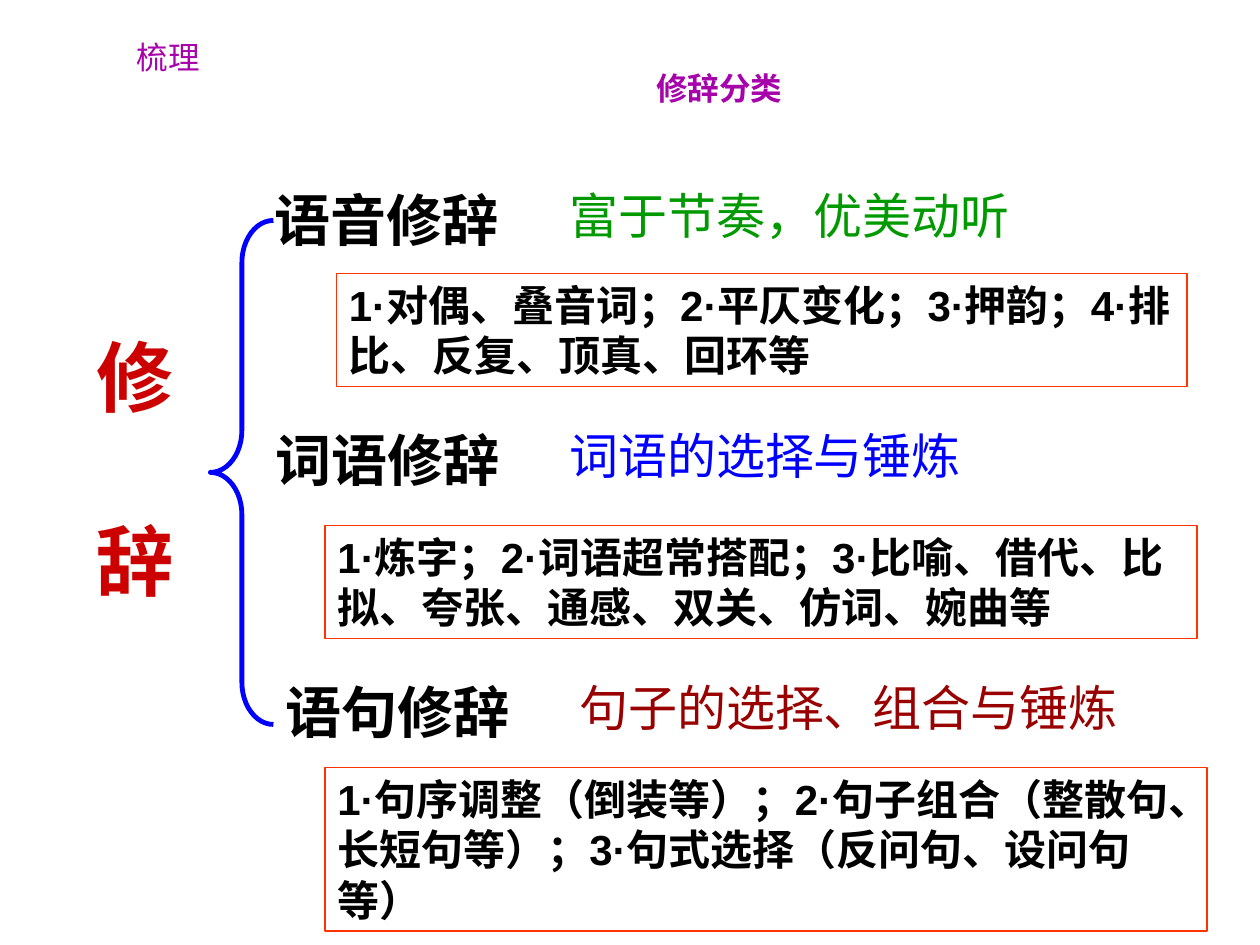
from dataclasses import dataclass

from pptx import Presentation
from pptx.dml.color import RGBColor
from pptx.enum.shapes import MSO_SHAPE
from pptx.enum.text import MSO_ANCHOR, PP_ALIGN
from pptx.util import Emu, Pt

SCALE = 9144  # EMU per px, 100 px to the inch


@dataclass(frozen=True)
class Theme:
    latin: str = "Arial"
    hans: str = "Noto Sans CJK SC"
    ink: str = "000000"
    red: str = "CC0000"
    blue: str = "0000FF"
    green: str = "009900"
    brown: str = "990000"
    plum: str = "A603AB"
    frame: str = "FF3300"
    root: int = 44
    head: int = 32
    note: int = 28
    body: int = 24
    title: int = 18


@dataclass(frozen=True)
class Box:
    left: int
    top: int
    width: int
    height: int

    def emu(self) -> list[Emu]:
        return [Emu(n * SCALE) for n in (self.left, self.top, self.width, self.height)]


@dataclass(frozen=True)
class Style:
    size: int
    color: str
    bold: bool = False
    face: str = Theme.latin
    align: PP_ALIGN = PP_ALIGN.LEFT
    gap: int = 0


@dataclass(frozen=True)
class Label:
    text: str
    box: Box
    style: Style
    wrap: bool = False


@dataclass(frozen=True)
class Panel:
    text: str
    box: Box


T = Theme()
ROOT = Style(T.root, T.red, True, gap=52)
HEAD = Style(T.head, T.ink, True)
BODY = Style(T.body, T.ink, True)
TITLE = Style(T.title, T.plum, True, T.hans, PP_ALIGN.CENTER)
TOPIC = Style(T.title, T.plum, False, T.hans, PP_ALIGN.CENTER)

LABELS = [
    Label("梳理", Box(25, 25, 217, 100), TOPIC),
    Label("修辞分类", Box(375, 50, 392, 50), TITLE),
    Label("修\n辞", Box(67, 257, 92, 304), ROOT, True),
    Label("语音修辞", Box(208, 142, 208, 64), HEAD),
    Label("富于节奏，优美动听", Box(442, 142, 385, 57), Style(T.note, T.green)),
    Label("词语修辞", Box(209, 333, 198, 64), HEAD),
    Label("词语的选择与锤炼", Box(442, 333, 345, 57), Style(T.note, T.blue)),
    Label("语句修辞", Box(217, 533, 198, 64), HEAD),
    Label("句子的选择、组合与锤炼", Box(450, 533, 467, 57), Style(T.note, T.brown)),
]
PANELS = [
    Panel("1·对偶、叠音词；2·平仄变化；3·押韵；4·排比、反复、顶真、回环等",
          Box(267, 217, 675, 90)),
    Panel("1·炼字；2·词语超常搭配；3·比喻、借代、比拟、夸张、通感、双关、仿词、婉曲等",
          Box(258, 417, 692, 90)),
    Panel("1·句序调整（倒装等）；2·句子组合（整散句、长短句等）；3·句式选择（反问句、设问句等）",
          Box(258, 609, 700, 130)),
]
BRACE = Box(167, 175, 50, 400)


def write(shape, text: str, style: Style, wrap: bool) -> None:
    frame = shape.text_frame
    frame.text = text
    frame.word_wrap = wrap
    frame.vertical_anchor = MSO_ANCHOR.TOP
    form = {"name": style.face, "size": Pt(style.size), "bold": style.bold}
    for i, para in enumerate(frame.paragraphs):
        para.alignment = style.align
        if i:
            para.space_before = Pt(style.gap)
        font = para.runs[0].font
        for key, value in form.items():
            setattr(font, key, value)
        font.color.rgb = RGBColor.from_string(style.color)


def outline(slide, kind: MSO_SHAPE, box: Box, color: str, width: float):
    """Add an unfilled preset shape with a coloured line."""
    shape = slide.shapes.add_shape(kind, *box.emu())
    shape.shadow.inherit = False
    shape.fill.background()
    shape.line.color.rgb = RGBColor.from_string(color)
    shape.line.width = Pt(width)
    return shape


def label(slide, item: Label) -> None:
    shape = slide.shapes.add_textbox(*item.box.emu())
    write(shape, item.text, item.style, item.wrap)


def panel(slide, item: Panel) -> None:
    shape = outline(slide, MSO_SHAPE.RECTANGLE, item.box, T.frame, 0.75)
    write(shape, item.text, BODY, True)


def main() -> None:
    deck = Presentation()
    deck.slide_width, deck.slide_height = Emu(1000 * SCALE), Emu(750 * SCALE)
    slide = deck.slides.add_slide(deck.slide_layouts[6])
    brace = outline(slide, MSO_SHAPE.LEFT_BRACE, BRACE, T.blue, 2.75)
    brace.adjustments[0] = 0.67
    for item in LABELS:
        label(slide, item)
    for item in PANELS:
        panel(slide, item)
    deck.save("out.pptx")


if __name__ == "__main__":
    main()
